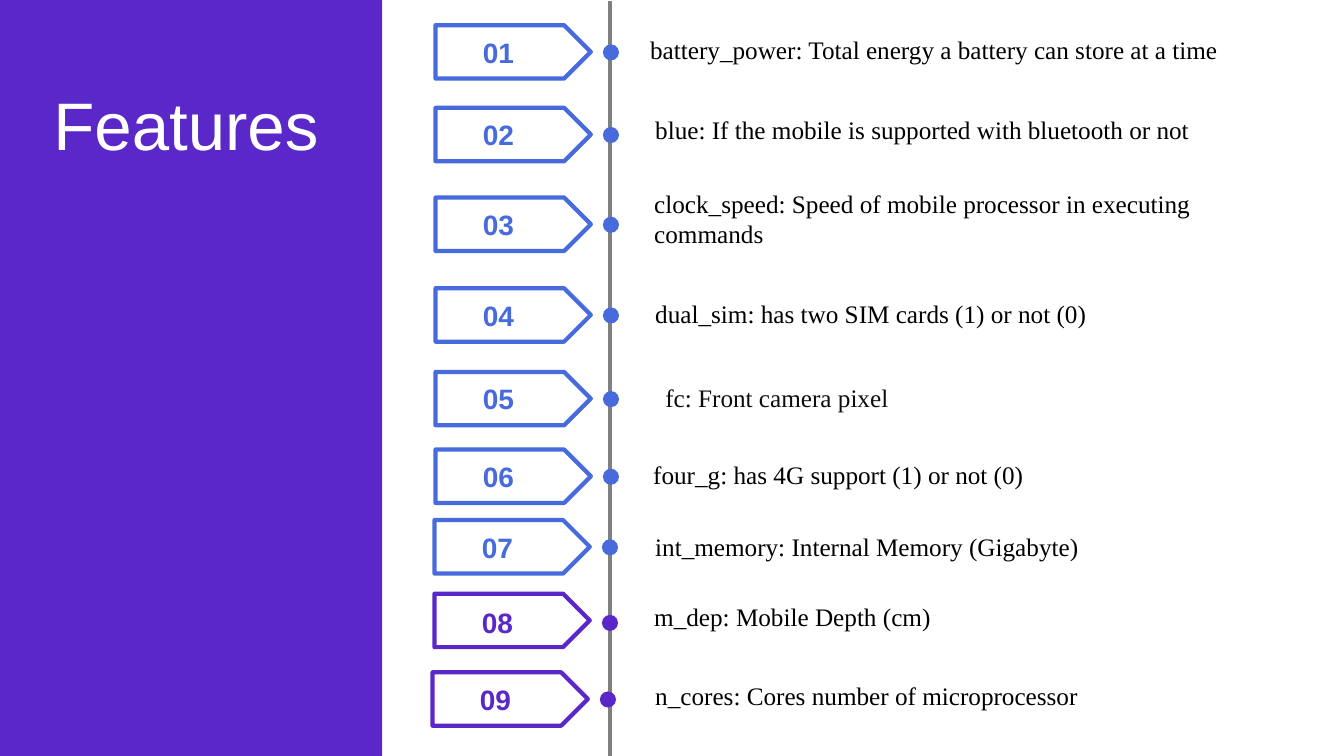
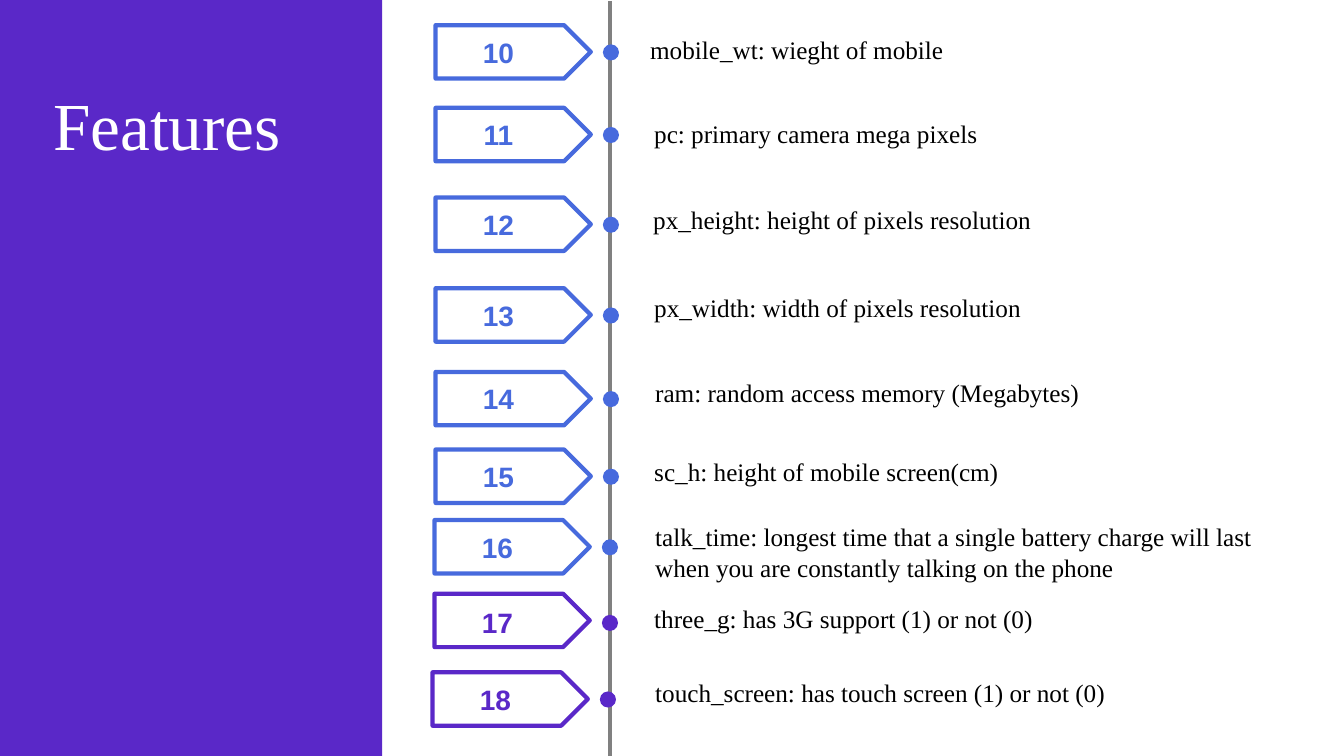
"""Builds two slides that list the numbered features of a phone data set."""
from typing import NamedTuple

from lxml import etree
from pptx import Presentation
from pptx.dml.color import RGBColor
from pptx.enum.shapes import MSO_CONNECTOR, MSO_SHAPE
from pptx.enum.text import MSO_ANCHOR, PP_ALIGN
from pptx.oxml.ns import qn
from pptx.util import Inches, Pt

RECTANGLE, PENTAGON, OVAL = MSO_SHAPE.RECTANGLE, MSO_SHAPE.PENTAGON, MSO_SHAPE.OVAL
STRAIGHT = MSO_CONNECTOR.STRAIGHT
MIDDLE = MSO_ANCHOR.MIDDLE
LEFT, CENTER = PP_ALIGN.LEFT, PP_ALIGN.CENTER

PURPLE = RGBColor(0x5A, 0x28, 0xC8)
BLUE = RGBColor(0x47, 0x6A, 0xDD)
GRAY = RGBColor(0x80, 0x80, 0x80)
WHITE = RGBColor(0xFF, 0xFF, 0xFF)
BLACK = RGBColor(0x00, 0x00, 0x00)
SOFT_BLACK = RGBColor(0x0D, 0x0D, 0x0D)

SANS, SERIF = "Arial", "Times New Roman"
TITLE_ONLY = 5
PLATE_WIDTH, PLATE_HEIGHT = 1.54, 0.53
DOT_SIZE, DOT_OFFSET_X, DOT_OFFSET_Y = 0.16, 1.66, 0.19
TEXT_WIDTH, ONE_LINE, TWO_LINES = 6.32, 0.4, 0.71


class Marker(NamedTuple):
    """Place and colour of a number plate; drop lowers its number and dot."""
    left: float
    top: float
    color: RGBColor = BLUE
    drop: float = 0


class Feature(NamedTuple):
    """Place and wording of a description."""
    left: float
    top: float
    text: str
    height: float = ONE_LINE
    color: RGBColor = BLACK


MARKERS = [
    Marker(4.32, 0.25),
    Marker(4.32, 1.07),
    Marker(4.32, 1.96),
    Marker(4.32, 2.86),
    Marker(4.32, 3.69),
    Marker(4.32, 4.46),
    Marker(4.31, 5.16),
    Marker(4.31, 5.89, PURPLE, 0.02),
    Marker(4.29, 6.67, PURPLE),
]

FIRST_FEATURES = [
    Feature(6.35, 0.29, "battery_power: Total energy a battery can store at a time"),
    Feature(6.4, 1.08, "blue: If the mobile is supported with bluetooth or not"),
    Feature(6.39, 1.81, "clock_speed: Speed of mobile processor in executing commands",
            TWO_LINES),
    Feature(6.4, 2.91, "dual_sim: has two SIM cards (1) or not (0)"),
    Feature(6.5, 3.74, "fc: Front camera pixel", color=SOFT_BLACK),
    Feature(6.38, 4.51, "four_g: has 4G support (1) or not (0)"),
    Feature(6.4, 5.22, "int_memory: Internal Memory (Gigabyte)"),
    Feature(6.39, 5.92, "m_dep: Mobile Depth (cm)"),
    Feature(6.4, 6.7, "n_cores: Cores number of microprocessor"),
]

SECOND_FEATURES = [
    Feature(6.35, 0.29, "mobile_wt: wieght of mobile"),
    Feature(6.39, 1.12, "pc: primary camera mega pixels"),
    Feature(6.38, 1.98, "px_height: height of pixels resolution"),
    Feature(6.39, 2.85, "px_width: width of pixels resolution"),
    Feature(6.4, 3.69, "ram: random access memory (Megabytes)"),
    Feature(6.39, 4.48, "sc_h: height of mobile screen(cm)"),
    Feature(6.4, 5.12, "talk_time: longest time that a single battery charge will last "
            "when you are constantly talking on the phone", TWO_LINES),
    Feature(6.39, 5.94, "three_g: has 3G support (1) or not (0)"),
    Feature(6.4, 6.67, "touch_screen: has touch screen (1) or not (0)"),
]


def set_font(para, name, size, color, bold=False):
    """Set the font of a whole paragraph."""
    font = para.font
    font.name, font.size, font.bold = name, Pt(size), bold
    font.color.rgb = color


def add_filled_shape(page, kind, left, top, width, height, fill, line=None):
    """Add a flat preset shape, outlined only when a line colour is given."""
    shape = page.shapes.add_shape(
        kind, Inches(left), Inches(top), Inches(width), Inches(height))
    shape.shadow.inherit = False
    shape.fill.solid()
    shape.fill.fore_color.rgb = fill
    if line is None:
        shape.line.fill.background()
    else:
        shape.line.color.rgb = line
        shape.line.width = Pt(3)
    return shape


def add_timeline(page):
    """Add the vertical line that the dots sit on."""
    timeline = page.shapes.add_connector(
        STRAIGHT, Inches(6.05), Inches(0.01), Inches(6.05), Inches(7.5))
    timeline.line.color.rgb = GRAY
    timeline.line.width = Pt(3)
    etree.SubElement(timeline.element.spPr, qn("a:effectLst"))
    return timeline


def furnish_layout(layout, page):
    """Move the side band and timeline to the layout and place its title."""
    title = layout.placeholders[0]
    title.left, title.top = Inches(0.43), Inches(0.3)
    title.width, title.height = Inches(3.35), Inches(1.96)
    band = add_filled_shape(page, RECTANGLE, 0, 0, 3.79, 7.5, PURPLE)
    for shape in (band, add_timeline(page)):
        title.element.addprevious(shape.element)


def fill_title(page, font_name):
    """Write the title in the side band."""
    frame = page.shapes.title.text_frame
    frame.text = "Features"
    frame.vertical_anchor = MIDDLE
    para = frame.paragraphs[0]
    para.alignment = LEFT
    para.line_spacing = 0.9
    set_font(para, font_name, 48, WHITE)


def add_marker(page, marker, number):
    """Add a numbered plate and its dot on the timeline."""
    add_filled_shape(
        page, OVAL, marker.left + DOT_OFFSET_X, marker.top + DOT_OFFSET_Y + marker.drop,
        DOT_SIZE, DOT_SIZE, marker.color)
    plate = add_filled_shape(
        page, PENTAGON, marker.left, marker.top, PLATE_WIDTH, PLATE_HEIGHT,
        WHITE, marker.color)
    frame = plate.text_frame
    frame.margin_left, frame.margin_right = 0, Inches(0.16)
    frame.margin_top, frame.margin_bottom = Inches(2 * marker.drop), 0
    frame.vertical_anchor = MIDDLE
    frame.text = f"{number:02}"
    para = frame.paragraphs[0]
    para.alignment = CENTER
    set_font(para, SANS, 20, marker.color, bold=True)


def add_description(page, feature):
    """Add the text that explains one feature."""
    box = page.shapes.add_textbox(
        Inches(feature.left), Inches(feature.top),
        Inches(TEXT_WIDTH), Inches(feature.height))
    frame = box.text_frame
    frame.word_wrap = True
    frame.vertical_anchor = MIDDLE
    frame.text = feature.text
    set_font(frame.paragraphs[0], SERIF, 18, feature.color)


def add_feature_page(deck, layout, title_font, features, first_number):
    """Add a slide of numbered features."""
    page = deck.slides.add_slide(layout)
    fill_title(page, title_font)
    for number, (marker, feature) in enumerate(zip(MARKERS, features), first_number):
        add_marker(page, marker, number)
        add_description(page, feature)
    return page


def main():
    """Build and save the deck."""
    deck = Presentation()
    deck.slide_width, deck.slide_height = Inches(13.33), Inches(7.5)
    layout = deck.slide_layouts[TITLE_ONLY]
    first_page = add_feature_page(deck, layout, SANS, FIRST_FEATURES, 1)
    furnish_layout(layout, first_page)
    add_feature_page(deck, layout, SERIF, SECOND_FEATURES, len(FIRST_FEATURES) + 1)
    deck.save("out.pptx")


if __name__ == "__main__":
    main()
